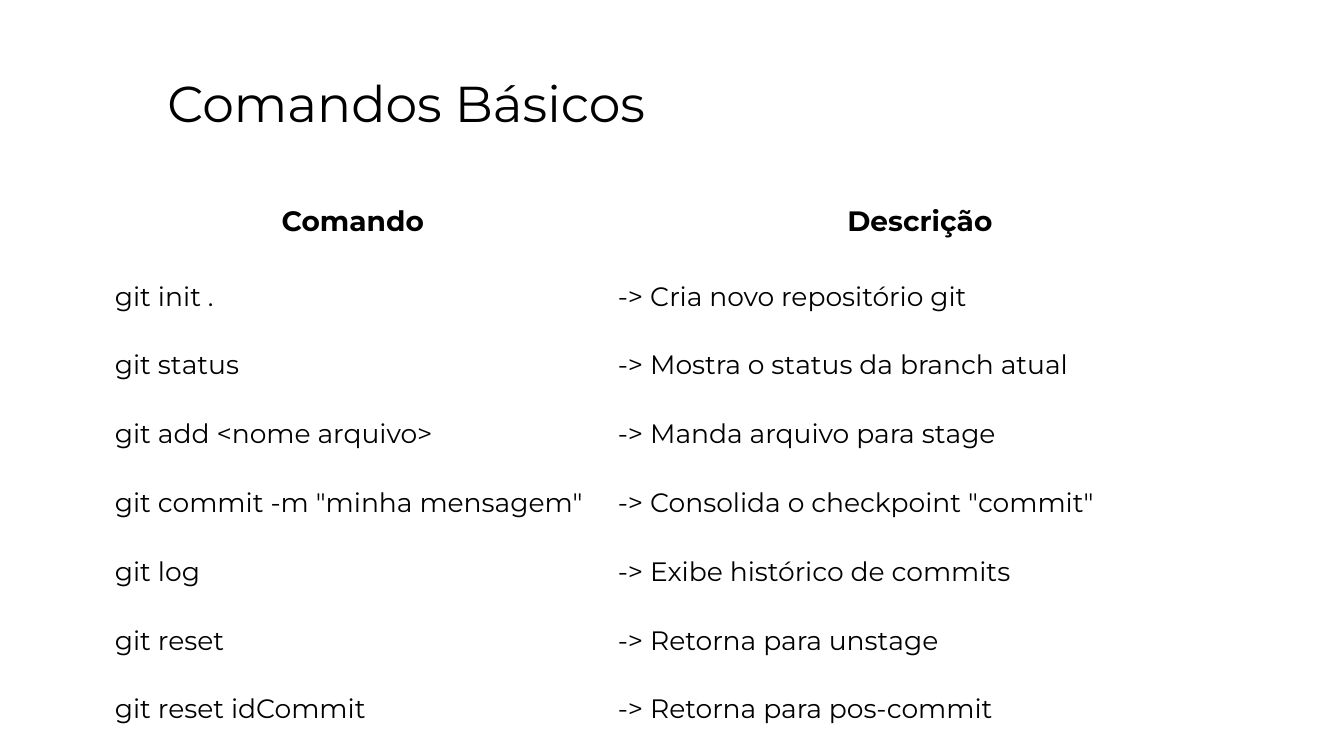
from dataclasses import dataclass

from pptx import Presentation
from pptx.dml.color import RGBColor as Color
from pptx.enum.text import MSO_ANCHOR as Anchor, MSO_AUTO_SIZE as Fit, PP_ALIGN as Align
from pptx.util import Inches, Pt


@dataclass(frozen=True)
class Theme:
    font: str = "Montserrat"
    ink: Color = Color(0, 0, 0)
    title: int = 36
    head: int = 20
    body: int = 19


THEME = Theme()
WIDE, HIGH = Inches(13.33), Inches(7.5)
PAD = Inches(0.1)
INDENT = Inches(0.17)
COLS = (0.369, 0.475)
HEAD_ROW, BODY_ROW = 0.085, 0.091

HEADS = ("Comando", "Descrição")
ROWS = (
    ("git init .", "-> Cria novo repositório git"),
    ("git status", "-> Mostra o status da branch atual"),
    ("git add <nome arquivo>", "-> Manda arquivo para stage"),
    ('git commit -m "minha mensagem"', '-> Consolida o checkpoint "commit"'),
    ("git log", "-> Exibe histórico de commits"),
    ("git reset", "-> Retorna para unstage"),
    ("git reset idCommit", "-> Retorna para pos-commit"),
)


def span(x, y, w, h):
    return int(x * WIDE), int(y * HIGH), int(w * WIDE), int(h * HIGH)


def write(frame, text, size=THEME.body, bold=False, align=Align.LEFT, lead=1.5):
    frame.text = text
    para = frame.paragraphs[0]
    para.alignment = align
    para.line_spacing = lead
    font = para.runs[0].font
    font.name = THEME.font
    font.size = Pt(size)
    font.bold = bold
    font.color.rgb = THEME.ink


def add_title(slide, text):
    title = slide.shapes.title
    title.left, title.top, title.width, title.height = span(0.117, 0.068, 0.508, 0.145)
    frame = title.text_frame
    frame.auto_size = Fit.NONE
    frame.vertical_anchor = Anchor.MIDDLE
    write(frame, text, size=THEME.title, lead=0.9)


def fill_cell(cell, text, left=PAD, anchor=Anchor.TOP, **style):
    cell.fill.background()
    cell.margin_left = left
    cell.margin_right = cell.margin_top = cell.margin_bottom = PAD
    cell.vertical_anchor = anchor
    write(cell.text_frame, text, **style)


def add_grid(slide, heads, rows):
    high = HEAD_ROW + BODY_ROW * len(rows)
    place = span(0.078, 0.251, sum(COLS), high)
    table = slide.shapes.add_table(len(rows) + 1, len(heads), *place).table
    table.first_row = table.horz_banding = False
    for col, share in zip(table.columns, COLS):
        col.width = int(share * WIDE)
    for num, row in enumerate(table.rows):
        row.height = int((BODY_ROW if num else HEAD_ROW) * HIGH)
    for col, text in enumerate(heads):
        fill_cell(table.cell(0, col), text, anchor=Anchor.MIDDLE,
                  size=THEME.head, bold=True, align=Align.CENTER, lead=1.0)
    for num, pair in enumerate(rows, 1):
        for col, text in enumerate(pair):
            fill_cell(table.cell(num, col), text, left=INDENT if col else PAD)


def main():
    deck = Presentation()
    deck.slide_width, deck.slide_height = WIDE, HIGH
    slide = deck.slides.add_slide(deck.slide_layouts[5])
    add_title(slide, "Comandos Básicos")
    add_grid(slide, HEADS, ROWS)
    deck.save("out.pptx")


if __name__ == "__main__":
    main()
